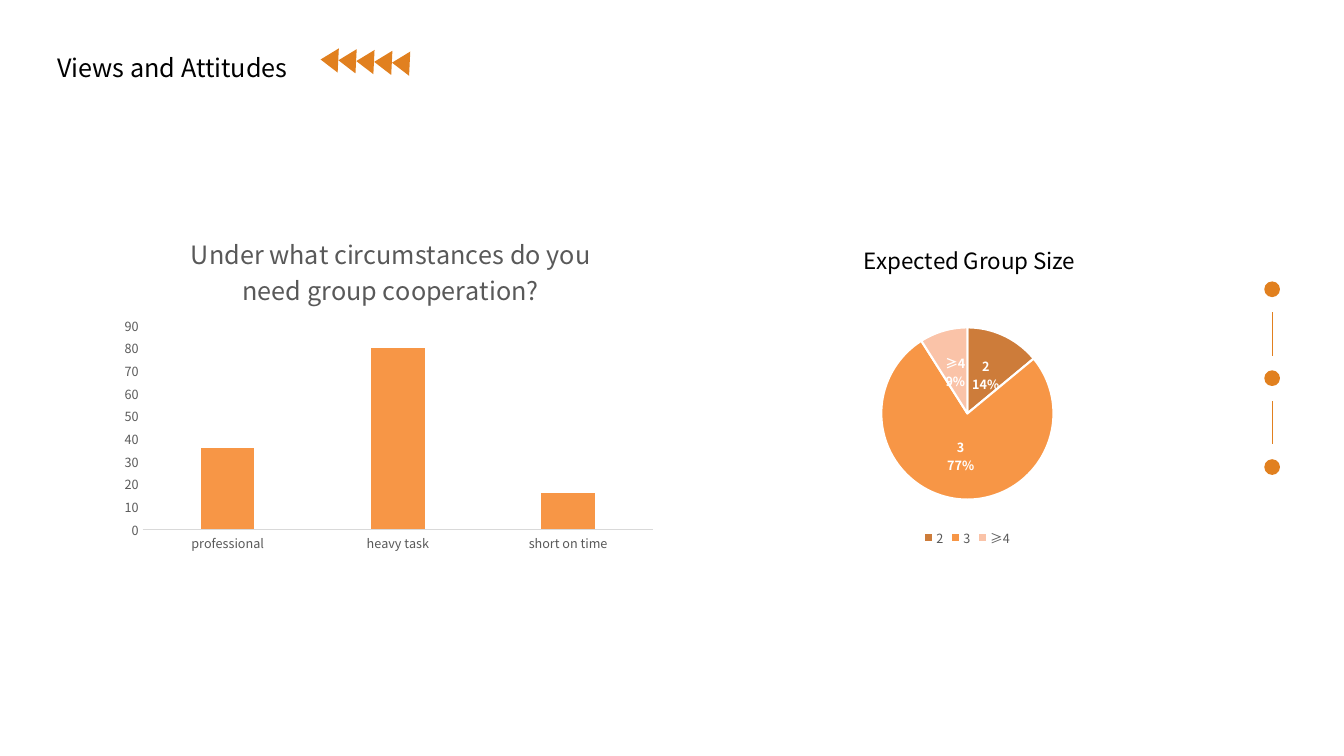
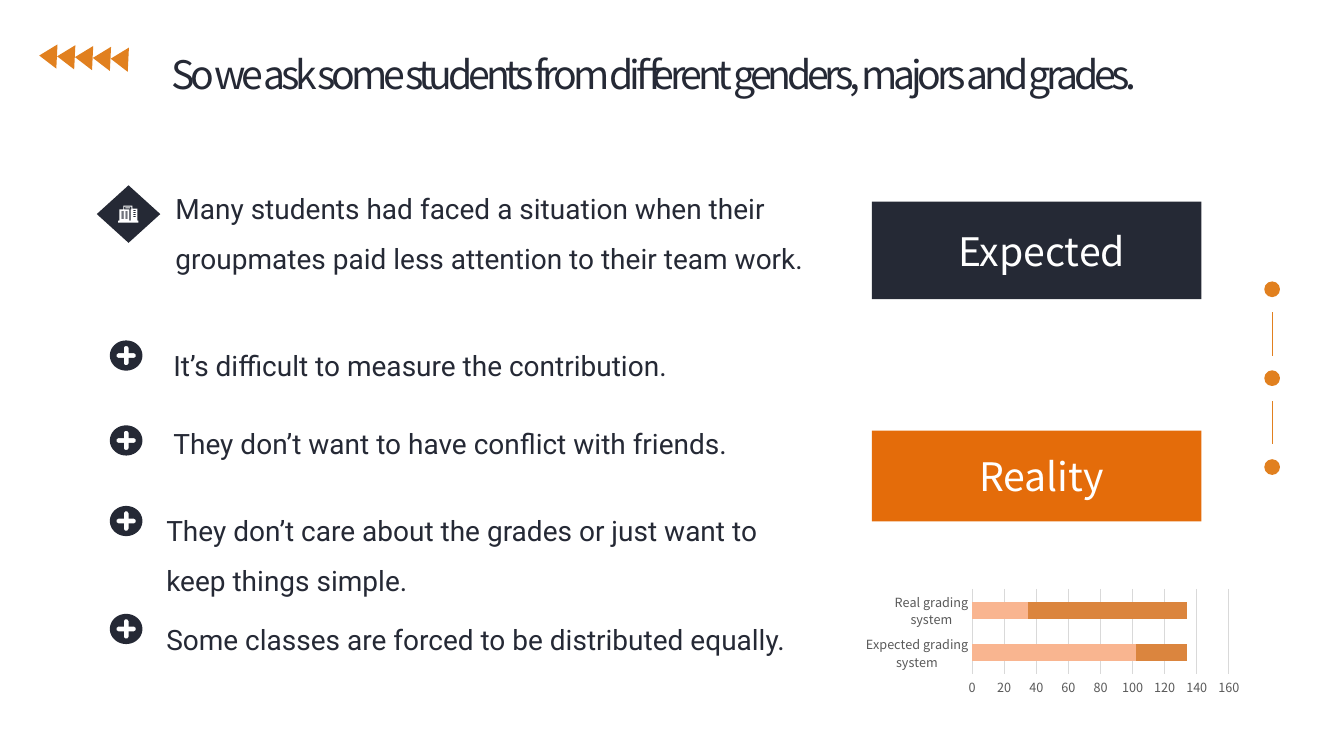
from dataclasses import dataclass
from math import cos, pi, sin

from lxml.etree import SubElement
from pptx import Presentation
from pptx.chart.data import CategoryChartData as ChartData
from pptx.dml.color import RGBColor
from pptx.enum.chart import XL_CHART_TYPE as ChartType
from pptx.enum.chart import XL_LABEL_POSITION as LabelPosition
from pptx.enum.chart import XL_LEGEND_POSITION as LegendPosition
from pptx.enum.chart import XL_TICK_MARK as TickMark
from pptx.enum.shapes import MSO_CONNECTOR as Connector
from pptx.enum.shapes import MSO_SHAPE as Preset
from pptx.enum.text import MSO_ANCHOR as Anchor
from pptx.enum.text import MSO_AUTO_SIZE as AutoSize
from pptx.enum.text import PP_ALIGN as Align
from pptx.oxml.ns import qn
from pptx.util import Cm, Pt


@dataclass(frozen=True)
class Theme:
    heading: str = "Noto Sans CJK SC"
    reading: str = "Roboto"
    accent: str = "E1801F"
    reality: str = "E46C0A"
    dark: str = "252935"
    white: str = "FFFFFF"
    black: str = "000000"
    muted: str = "595959"
    rule: str = "D9D9D9"
    bars: tuple = ("F79646",)
    slices: tuple = ("CD7C3A", "F79646", "FAC3A8")
    stacks: tuple = ("F9B590", "DB853E")
    large: int = 28
    list_size: int = 20
    title_size: int = 18
    pie_title: int = 16
    chart_size: int = 10
    label_size: int = 9


@dataclass(frozen=True)
class Box:
    left: float
    top: float
    width: float
    height: float

    def lengths(self):
        return [Cm(value) for value in (self.left, self.top, self.width, self.height)]


THEME = Theme()


def color(code):
    return RGBColor.from_string(code)


def style_font(font, size, code, name=THEME.heading, bold=False):
    font.name = name
    font.size = Pt(size)
    font.bold = bold
    font.color.rgb = color(code)


def add_span(para, text, size, code, name=THEME.heading):
    span = para.add_run()
    span.text = text
    style_font(span.font, size, code, name)
    return span


def paint(shape, code):
    shape.shadow.inherit = False
    shape.fill.solid()
    shape.fill.fore_color.rgb = color(code)
    shape.line.fill.background()
    return shape


def add_preset(page, preset, box, code):
    return paint(page.shapes.add_shape(preset, *box.lengths()), code)


def add_outline(page, contours, left, top, code):
    placed = [[(Cm(left + x), Cm(top + y)) for x, y in contour] for contour in contours]
    builder = page.shapes.build_freeform(*placed[0][0], scale=1.0)
    for number, contour in enumerate(placed):
        if number:
            builder.move_to(*contour[0])
        builder.add_line_segments(contour[1:], close=True)
    return paint(builder.convert_to_shape(), code)


def place_frame(shape, box, anchor):
    shape.left, shape.top, shape.width, shape.height = box.lengths()
    frame = shape.text_frame
    frame.auto_size = AutoSize.NONE
    frame.word_wrap = True
    frame.vertical_anchor = anchor
    return frame


def add_title(page, box, text, size, code, anchor):
    frame = place_frame(page.shapes.title, box, anchor)
    para = frame.paragraphs[0]
    para.alignment = Align.LEFT
    return frame, add_span(para, text, size, code)


def add_arrows(page, left, top):
    triangle = [(0, 0.28), (0.43, 0.61), (0.46, 0)]
    arrows = [
        add_outline(page, [triangle], left + 0.45 * i, top + 0.02 * i, THEME.accent)
        for i in range(5)
    ]
    page.shapes.add_group_shape(arrows)


def add_rail(page, left=31.88, top=7.11):
    dot, pitch = 0.36, 2.24
    parts = []
    for i in range(3):
        y = top + pitch * i
        circle = add_preset(page, Preset.OVAL, Box(left, y, dot, dot), THEME.accent)
        circle.line.color.rgb = color(THEME.accent)
        circle.line.width = Pt(1)
        parts.append(circle)
        if i < 2:
            x = Cm(left + dot / 2)
            link = page.shapes.add_connector(
                Connector.STRAIGHT, x, Cm(y + 0.76), x, Cm(y + 1.85)
            )
            link.line.color.rgb = color(THEME.accent)
            link.line.width = Pt(0.5)
            SubElement(link._element.spPr, qn("a:effectLst"))
            parts.append(link)
    page.shapes.add_group_shape(parts)


def set_layout(parent, index, values, inner=False):
    layout = parent.find(qn("c:layout"))
    if layout is None:
        layout = SubElement(parent, qn("c:layout"))
        parent.insert(index, layout)
    manual = SubElement(layout, qn("c:manualLayout"))
    settings = [("layoutTarget", "inner")] if inner else []
    settings += [("xMode", "edge"), ("yMode", "edge")]
    settings += zip("xywh", values)
    for tag, value in settings:
        SubElement(manual, qn(f"c:{tag}")).set("val", str(value))


def add_chart(page, kind, box, categories, rows, plot_area):
    data = ChartData()
    data.categories = categories
    for number, row in enumerate(rows, 1):
        data.add_series(f"Series {number}", row)
    chart = page.shapes.add_chart(kind, *box.lengths(), data).chart
    style_font(chart.font, THEME.chart_size, THEME.black)
    chart.has_title = False
    chart.has_legend = False
    set_layout(chart._chartSpace.chart.plotArea, 0, plot_area, inner=True)
    return chart


def add_chart_title(chart, text, size, code, position):
    chart.has_title = True
    title = chart.chart_title
    add_span(title.text_frame.paragraphs[0], text, size, code)
    title.include_in_layout = False
    set_layout(title._element, 1, position)


def style_bars(chart, gap, overlap, colors, maximum, step, grid):
    plot = chart.plots[0]
    plot.gap_width, plot.overlap = gap, overlap
    plot.vary_by_categories = False
    for series, code in zip(plot.series, colors):
        series.format.fill.solid()
        series.format.fill.fore_color.rgb = color(code)
        series.invert_if_negative = False
    for axis in (chart.category_axis, chart.value_axis):
        axis.major_tick_mark = axis.minor_tick_mark = TickMark.NONE
        style_font(axis.tick_labels.font, THEME.label_size, THEME.muted)
    lines = [chart.category_axis.format.line]
    scale = chart.value_axis
    scale.minimum_scale, scale.maximum_scale, scale.major_unit = 0, maximum, step
    scale.format.line.fill.background()
    scale.has_major_gridlines = grid
    if grid:
        lines.append(scale.major_gridlines.format.line)
    for line in lines:
        line.color.rgb = color(THEME.rule)
        line.width = Pt(0.75)


def add_circumstances_chart(page, box):
    chart = add_chart(
        page, ChartType.COLUMN_CLUSTERED, box,
        ["professional", "heavy task", "short on time"], [(36, 80, 16)],
        (0.05, 0.33, 0.93, 0.58),
    )
    add_chart_title(
        chart, "Under what circumstances do you need group cooperation?",
        THEME.title_size, THEME.muted, (0.13, 0.05),
    )
    style_bars(chart, 219, -27, THEME.bars, 90, 10, grid=False)


def add_group_size_chart(page, box):
    chart = add_chart(
        page, ChartType.PIE, box, ["2", "3", "≥4"], [(14, 77, 9)],
        (0.34, 0.32, 0.32, 0.53),
    )
    add_chart_title(chart, "Expected Group Size", THEME.pie_title, THEME.black, (0.3, 0.05))
    chart.has_legend = True
    chart.legend.position = LegendPosition.BOTTOM
    chart.legend.include_in_layout = False
    style_font(chart.legend.font, THEME.label_size, THEME.muted)
    plot = chart.plots[0]
    plot.vary_by_categories = True
    for number, code in enumerate(THEME.slices):
        form = plot.series[0].points[number].format
        form.fill.solid()
        form.fill.fore_color.rgb = color(code)
        form.line.color.rgb = color(THEME.white)
        form.line.width = Pt(1.5)
    labels = plot.series[0].data_labels
    labels.show_value = False
    labels.show_category_name = labels.show_percentage = True
    labels.position = LabelPosition.CENTER
    style_font(labels.font, THEME.label_size, THEME.white, bold=True)
    separator = SubElement(labels._element, qn("c:separator"))
    separator.text = "\n"
    labels._element.find(qn("c:showBubbleSize")).addnext(separator)


def add_grading_chart(page, box):
    chart = add_chart(
        page, ChartType.BAR_STACKED, box,
        ["Expected grading system", "Real grading system"], [(102, 35), (32, 99)],
        (0.27, 0.24, 0.64, 0.61),
    )
    style_bars(chart, 150, 100, THEME.stacks, 160, 20, grid=True)


def add_reasons(page, box):
    reasons = [
        ("Many students had faced a situation when their groupmates paid less attention "
         "to their team work.", 0.23, 0),
        ("It’s difficult to measure the contribution.", 0.18, 40.5),
        ("They don’t want to have conflict with friends.", 0.18, 19.5),
        ("They don’t care about the grades or just want to keep things simple.", 0, 26),
        ("Some classes are forced to be distributed equally.", 0, 6),
    ]
    frame = place_frame(page.placeholders[1], box, Anchor.TOP)
    frame.margin_left = frame.margin_right = frame.margin_top = frame.margin_bottom = 0
    for number, (text, indent, gap) in enumerate(reasons):
        para = frame.add_paragraph() if number else frame.paragraphs[0]
        para.line_spacing = 1.5
        para.space_before, para.space_after = Pt(gap), Pt(0)
        properties = para._p.get_or_add_pPr()
        properties.set("marL", str(Cm(indent)))
        properties.set("indent", "0")
        SubElement(properties, qn("a:buNone"))
        add_span(para, text, THEME.list_size, THEME.dark, THEME.reading)


def add_plus_badge(page, box):
    x, y = box.width / 2, box.height / 2
    angles = [2 * pi * i / 60 for i in range(60)]
    rim = [(x + x * cos(angle), y + y * sin(angle)) for angle in angles]
    arm = [(0.06, -0.06), (0.2, -0.06), (0.24, -0.03), (0.24, 0.03), (0.2, 0.06)]
    plus = []
    for _ in range(4):
        plus += [(x + dx, y + dy) for dx, dy in arm]
        arm = [(-dy, dx) for dx, dy in arm]
    add_outline(page, [rim, plus], box.left, box.top, THEME.dark)


def rectangle(x, y, width, height):
    return [(x, y), (x + width, y), (x + width, y + height), (x, y + height)]


def add_building_badge(page, box):
    diamond = add_preset(page, Preset.DIAMOND, box, THEME.dark)
    walls = [(0.13, 0), (0.36, 0), (0.36, 0.08), (0.48, 0.08), (0.48, 0.38), (0.51, 0.38),
             (0.51, 0.43), (0, 0.43), (0, 0.38), (0.03, 0.38), (0.03, 0.1), (0.13, 0.1)]
    tower = [(0.15, 0.03), (0.15, 0.1), (0.28, 0.1), (0.28, 0.38), (0.31, 0.38),
             (0.31, 0.1), (0.33, 0.1), (0.33, 0.03)]
    windows = [
        rectangle(x, y + 0.05 * i, 0.06, 0.03)
        for x, y in ((0.08, 0.15), (0.18, 0.15), (0.38, 0.11))
        for i in range(4)
    ]
    sign = rectangle(0.18, 0.05, 0.12, 0.02)
    building = add_outline(
        page, [walls, tower, sign, *windows], box.left + 0.54, box.top + 0.51, THEME.white
    )
    page.shapes.add_group_shape([diamond, building])


def add_band(page, box, text, code):
    band = add_preset(page, Preset.RECTANGLE, box, code)
    frame = band.text_frame
    frame.word_wrap = True
    frame.vertical_anchor = Anchor.MIDDLE
    frame.margin_left = Cm(0.5)
    para = frame.paragraphs[0]
    para.alignment = Align.CENTER
    add_span(para, text, THEME.large, THEME.white)


def build_views(deck):
    page = deck.slides.add_slide(deck.slide_layouts[5])
    add_rail(page)
    add_arrows(page, 8.08, 1.22)
    add_title(page, Box(1.19, 1.19, 6.88, 1.02), "Views and Attitudes",
              THEME.title_size, THEME.black, Anchor.TOP)
    add_circumstances_chart(page, Box(2.9, 5.28, 13.84, 8.86))
    add_group_size_chart(page, Box(17.6, 5.56, 13.56, 8.31))


def build_findings(deck):
    page = deck.slides.add_slide(deck.slide_layouts[1])
    add_rail(page)
    add_arrows(page, 0.99, 1.12)
    frame, span = add_title(
        page, Box(3.84, 1.19, 26.31, 1.32),
        "So we ask some students from different genders, majors and grades.",
        THEME.large, THEME.dark, Anchor.MIDDLE,
    )
    frame.margin_left = Cm(0.48)
    span.font._element.set("spc", "-300")
    add_reasons(page, Box(4.19, 4.39, 16.43, 12))
    add_building_badge(page, Box(2.44, 4.67, 1.6, 1.45))
    for top in (8.58, 10.72, 12.75, 15.47):
        add_plus_badge(page, Box(2.77, top, 0.82, 0.76))
    add_band(page, Box(21.97, 5.08, 8.31, 2.46), "Expected", THEME.dark)
    add_band(page, Box(21.97, 10.85, 8.31, 2.29), "Reality", THEME.reality)
    add_grading_chart(page, Box(21.77, 14, 10.11, 3.53))


def main():
    deck = Presentation()
    deck.slide_width, deck.slide_height = Cm(33.87), Cm(19.05)
    build_views(deck)
    build_findings(deck)
    deck.save("out.pptx")


if __name__ == "__main__":
    main()
